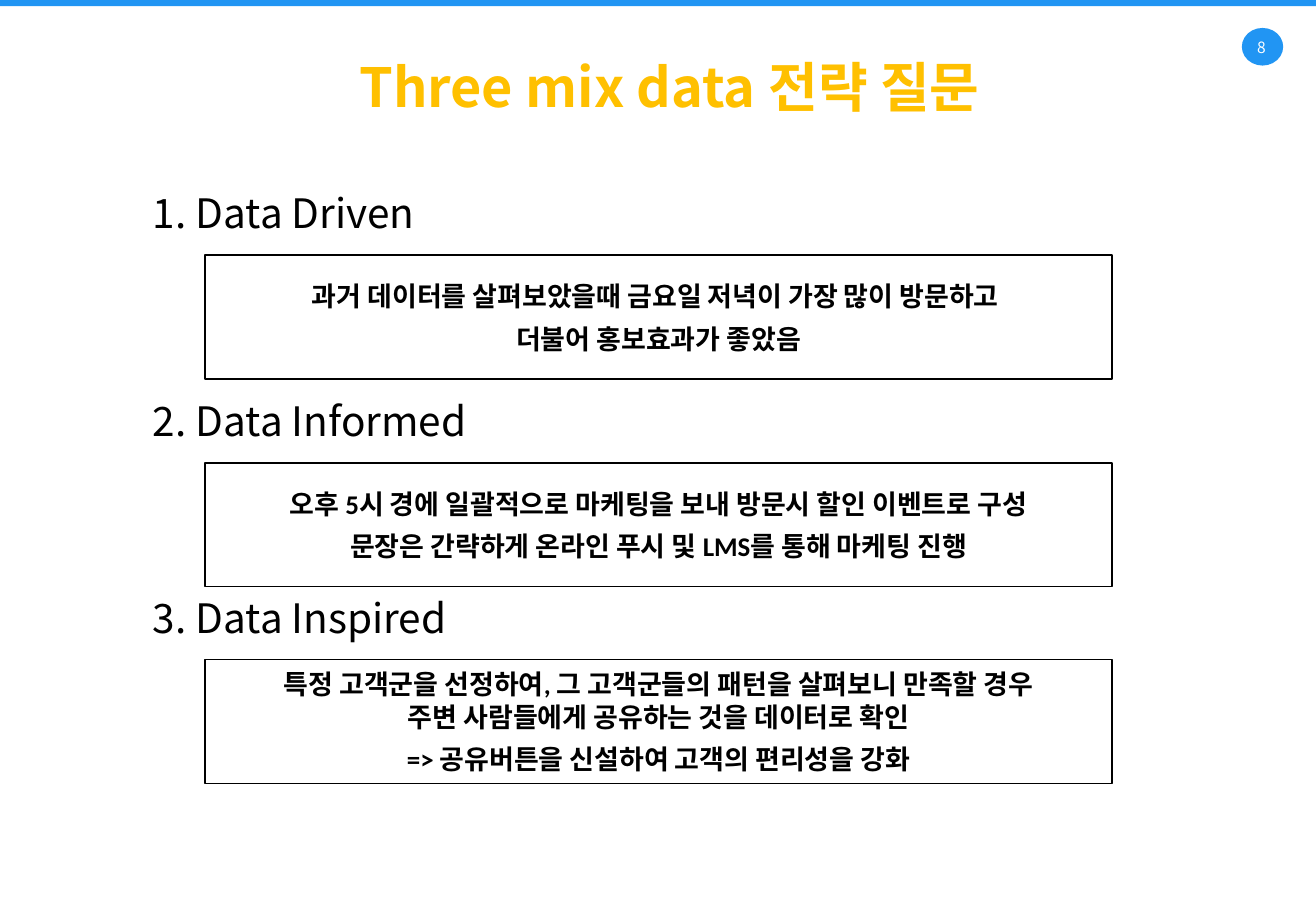
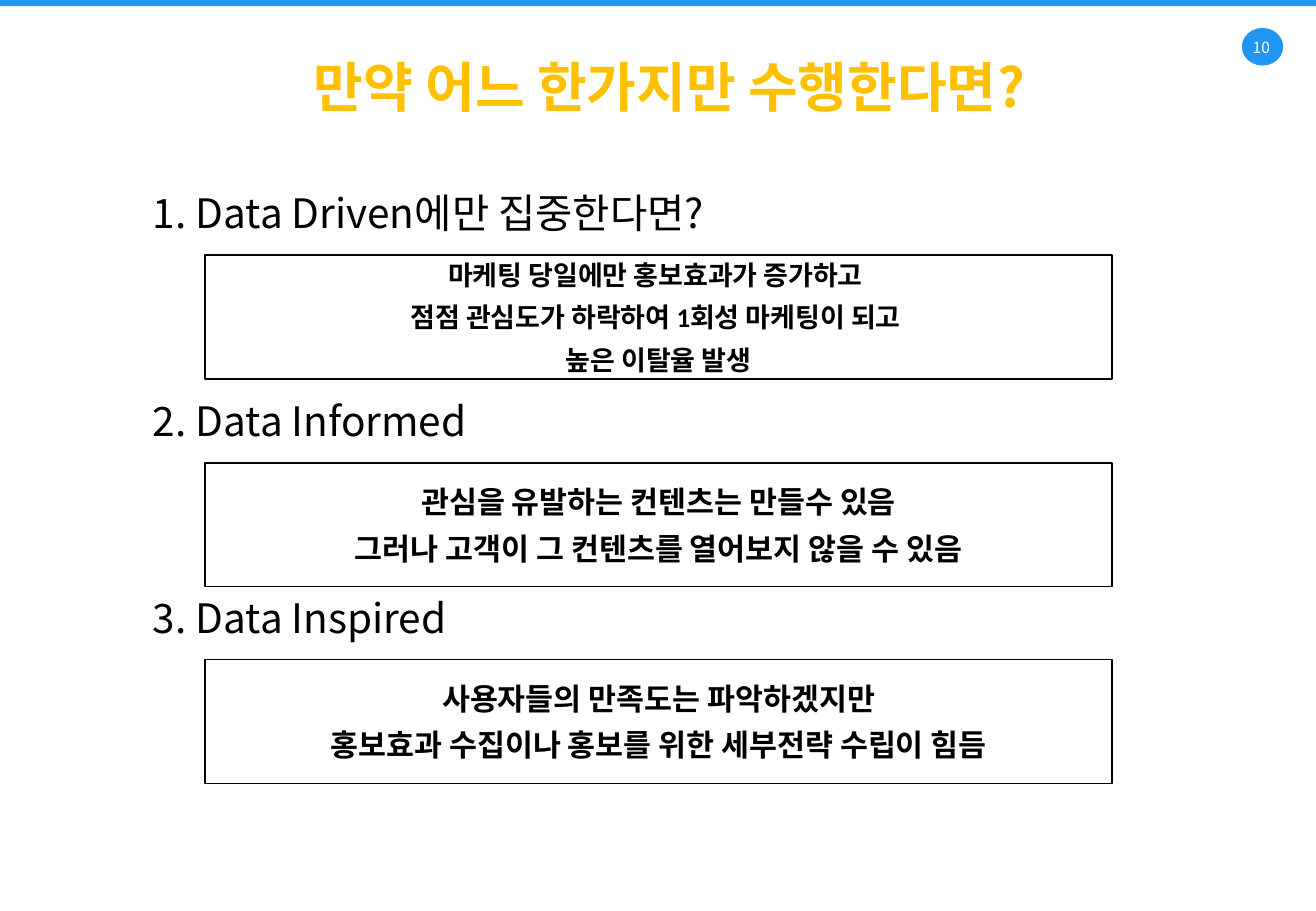
"""Build two slides of strategy questions on driven, informed and inspired data."""
from dataclasses import dataclass

from lxml import etree
from pptx import Presentation
from pptx.dml.color import RGBColor
from pptx.enum import shapes, text
from pptx.oxml import ns
from pptx.util import Inches, Pt

BLUE = RGBColor(0x21, 0x95, 0xF3)
GOLD = RGBColor(0xFF, 0xC0, 0x00)
BLACK = RGBColor(0, 0, 0)
WHITE = RGBColor(0xFF, 0xFF, 0xFF)
KOREAN_FONT = "Noto Sans CJK KR"
ANSWER_FONT = "Calibri"
SLIDE_WIDTH = 10.83
HEADING_TOPS = (1.5, 3.21, 4.83)
ANSWER_OFFSET = 0.6


@dataclass(frozen=True)
class TextStyle:
    size: float
    color: RGBColor
    font: str = KOREAN_FONT
    bold: bool = False
    centered: bool = True


@dataclass(frozen=True)
class Section:
    heading: str
    answer: tuple[str, ...]
    size: int = 16


@dataclass(frozen=True)
class Page:
    number: str
    title: str
    sections: tuple[Section, ...]


TITLE = TextStyle(32, GOLD, bold=True)
HEADING = TextStyle(24, BLACK, centered=False)
BADGE = TextStyle(9.2, WHITE)

PAGES = (
    Page("8", "Three mix data 전략 질문", (
        Section("1. Data Driven", (
            "과거 데이터를 살펴보았을때 금요일 저녁이 가장 많이 방문하고 ",
            "더불어 홍보효과가 좋았음")),
        Section("2. Data Informed", (
            "오후 5시 경에 일괄적으로 마케팅을 보내 방문시 할인 이벤트로 구성",
            "문장은 간략하게 온라인 푸시 및 LMS를 통해 마케팅 진행")),
        Section("3. Data Inspired", (
            "특정 고객군을 선정하여, 그 고객군들의 패턴을 살펴보니 만족할 경우\n"
            "주변 사람들에게 공유하는 것을 데이터로 확인",
            "=> 공유버튼을 신설하여 고객의 편리성을 강화")),
    )),
    Page("10", "만약 어느 한가지만 수행한다면?", (
        Section("1. Data Driven에만 집중한다면?", (
            "마케팅 당일에만 홍보효과가 증가하고 ",
            "점점 관심도가 하락하여 1회성 마케팅이 되고 ",
            "높은 이탈율 발생")),
        Section("2. Data Informed", (
            "관심을 유발하는 컨텐츠는 만들수 있음",
            "그러나 고객이 그 컨텐츠를 열어보지 않을 수 있음"), 18),
        Section("3. Data Inspired", (
            "사용자들의 만족도는 파악하겠지만",
            "홍보효과 수집이나 홍보를 위한 세부전략 수립이 힘듬"), 18),
    )),
)


def add_run(paragraph, words: str, style: TextStyle) -> None:
    """Add one styled run, naming the font for Latin and Korean letters."""
    run = paragraph.add_run()
    run.text = words
    run.font.size = Pt(style.size)
    run.font.bold = style.bold
    run.font.color.rgb = style.color
    run.font.name = style.font
    east_asian = etree.SubElement(run.font._element, ns.qn("a:ea"))
    east_asian.set("typeface", KOREAN_FONT)


def write(frame, lines: tuple[str, ...], style: TextStyle) -> None:
    """Write one paragraph per line, with line breaks inside a line kept."""
    frame.word_wrap = True
    for index, line in enumerate(lines):
        paragraph = frame.add_paragraph() if index else frame.paragraphs[0]
        paragraph.alignment = text.PP_ALIGN.CENTER if style.centered else text.PP_ALIGN.LEFT
        if index:
            paragraph.space_before = Pt(6)
        for part_index, part in enumerate(line.split("\n")):
            if part_index:
                paragraph.add_line_break()
            add_run(paragraph, part, style)


def add_block(slide, kind: shapes.MSO_SHAPE, left: float, top: float,
              width: float, height: float, fill: RGBColor):
    """Add a filled preset shape without line or shadow."""
    shape = slide.shapes.add_shape(kind, Inches(left), Inches(top), Inches(width), Inches(height))
    shape.shadow.inherit = False
    shape.fill.solid()
    shape.fill.fore_color.rgb = fill
    shape.line.fill.background()
    return shape


def add_label(slide, left: float, top: float, width: float, height: float,
              words: str, style: TextStyle, inset: bool = False):
    """Add a text box holding one paragraph and return its frame."""
    box = slide.shapes.add_textbox(Inches(left), Inches(top), Inches(width), Inches(height))
    frame = box.text_frame
    if not inset:
        frame.margin_left = frame.margin_right = frame.margin_top = frame.margin_bottom = 0
    write(frame, (words,), style)
    frame.auto_size = text.MSO_AUTO_SIZE.SHAPE_TO_FIT_TEXT
    return frame


def add_frame(slide, page: Page) -> None:
    """Draw the page badge, the top band and the title."""
    add_block(slide, shapes.MSO_SHAPE.OVAL, 10.22, 0.23, 0.34, 0.31, BLUE)
    add_label(slide, 10.19, 0.31, 0.38, 0.15, page.number, BADGE)
    add_block(slide, shapes.MSO_SHAPE.RECTANGLE, 0, 0, SLIDE_WIDTH, 0.05, BLUE)
    title = add_label(slide, 0.71, 0.44, 9.41, 0.54, page.title, TITLE).paragraphs[0]
    title.level = 1
    properties = title._p.get_or_add_pPr()
    properties.set("marL", str(Inches(0.1)))
    properties.set("indent", str(Inches(0.09)))


def add_section(slide, section: Section, top: float) -> None:
    """Draw a heading with its outlined answer box below."""
    add_label(slide, 1.16, top, 6.02, 0.5, section.heading, HEADING, inset=True)
    answer = add_block(slide, shapes.MSO_SHAPE.RECTANGLE,
                       1.69, top + ANSWER_OFFSET, 7.46, 1.02, WHITE)
    answer.line.color.rgb = BLACK
    answer.line.width = Pt(1)
    answer.text_frame.vertical_anchor = text.MSO_ANCHOR.MIDDLE
    write(answer.text_frame, section.answer,
          TextStyle(section.size, BLACK, ANSWER_FONT, bold=True))


def main() -> None:
    """Build and save the presentation."""
    presentation = Presentation()
    presentation.slide_width = Inches(SLIDE_WIDTH)
    presentation.slide_height = Inches(7.5)
    for page in PAGES:
        slide = presentation.slides.add_slide(presentation.slide_layouts[6])
        add_frame(slide, page)
        for section, top in zip(page.sections, HEADING_TOPS):
            add_section(slide, section, top)
    presentation.save("out.pptx")


if __name__ == "__main__":
    main()
